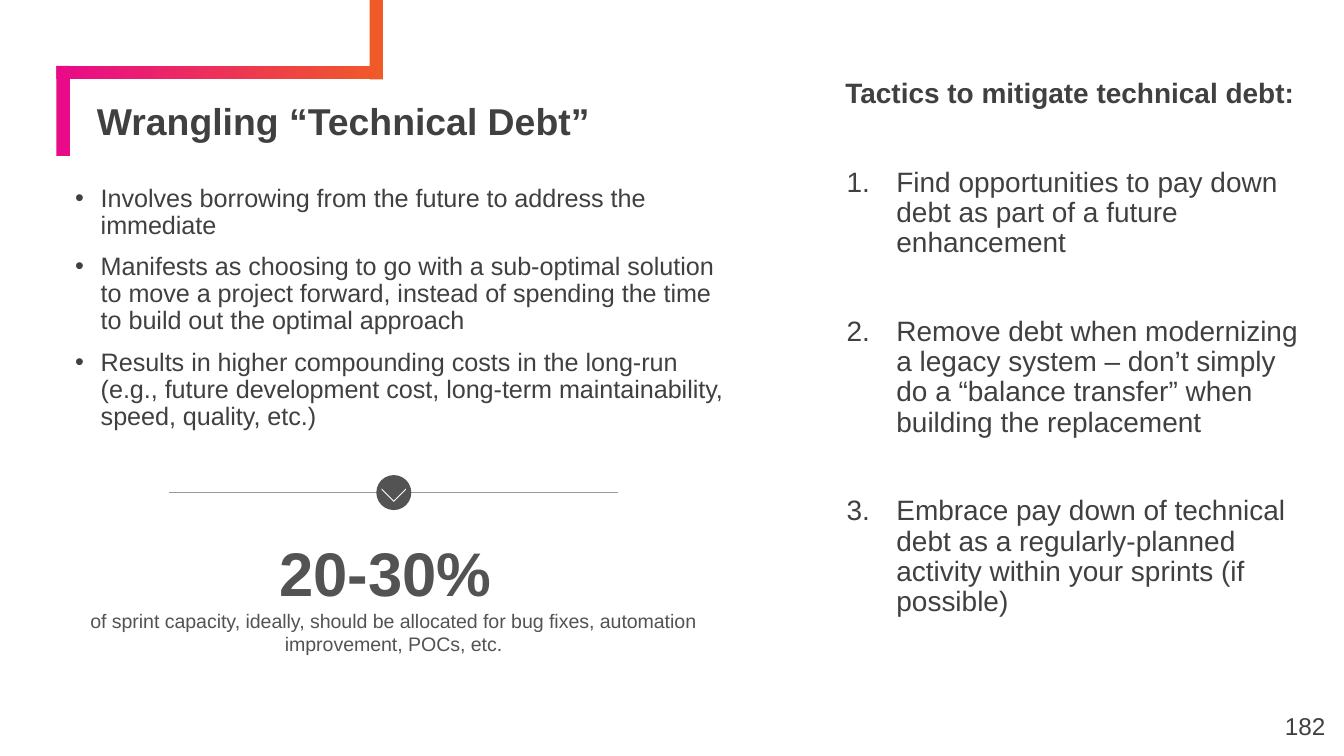
from lxml.etree import SubElement
from pptx import Presentation
from pptx.dml.color import RGBColor
from pptx.enum.shapes import MSO_CONNECTOR as CONNECTOR, MSO_SHAPE as SHAPE
from pptx.enum.text import MSO_ANCHOR as ANCHOR, MSO_AUTO_SIZE as AUTO_SIZE, PP_ALIGN as ALIGN
from pptx.oxml.ns import qn
from pptx.util import Inches, Pt

MAGENTA = RGBColor(0xE8, 0x0A, 0x89)
ORANGE = RGBColor(0xF0, 0x5A, 0x28)
INK = RGBColor(0x40, 0x40, 0x40)
GREY = RGBColor(0x53, 0x53, 0x53)
RULE_GREY = RGBColor(0x9A, 0x9A, 0x9A)
WHITE = RGBColor(0xFF, 0xFF, 0xFF)

TITLE = "Wrangling “Technical Debt”"
DEFINITION = [
    "Involves borrowing from the future to address the immediate",
    "Manifests as choosing to go with a sub-optimal solution to move a project forward, "
    "instead of spending the time to build out the optimal approach",
    "Results in higher compounding costs in the long-run (e.g., future development cost, "
    "long-term maintainability, speed, quality, etc.)",
]
TACTICS_HEADING = "Tactics to mitigate technical debt:"
TACTICS = [
    "Find opportunities to pay down debt as part of a future enhancement",
    "Remove debt when modernizing a legacy system – don’t simply do a “balance transfer” "
    "when building the replacement",
    "Embrace pay down of technical debt as a regularly-planned activity within your "
    "sprints (if possible)",
]
SHARE = "20-30% "
SHARE_NOTE = ("of sprint capacity, ideally, should be allocated for bug fixes, "
              "automation improvement, POCs, etc.")


def set_all(target, values):
    for name, value in values.items():
        setattr(target, name, value)


def set_insets(frame, x, y):
    set_all(frame, {"margin_left": Inches(x), "margin_right": Inches(x),
                    "margin_top": Inches(y), "margin_bottom": Inches(y),
                    "word_wrap": True, "auto_size": AUTO_SIZE.NONE})


def add_frame(slide, box, x_inset=0, y_inset=0):
    frame = slide.shapes.add_textbox(*map(Inches, box)).text_frame
    set_insets(frame, x_inset, y_inset)
    return frame


def format_font(font, size, color=INK, bold=False):
    set_all(font, {"name": "Arial", "size": Pt(size), "bold": bold})
    font.color.rgb = color


def write_paragraph(frame, text, size, color=INK, bold=False, first=False, **layout):
    paragraph = frame.paragraphs[0] if first else frame.add_paragraph()
    set_all(paragraph, layout)
    run = paragraph.add_run()
    run.text = text
    format_font(run.font, size, color, bold)
    return paragraph


def set_marker(paragraph, margin, indent, marker=None, **attributes):
    """Indent the paragraph and give it a bullet or a number."""
    properties = paragraph._p.get_or_add_pPr()
    properties.set("marL", str(Inches(margin)))
    properties.set("indent", str(Inches(indent)))
    if marker:
        color = SubElement(properties, qn("a:buClr"))
        SubElement(color, qn("a:srgbClr")).set("val", str(INK))
        SubElement(properties, qn("a:buFont")).set("typeface", "Arial")
        SubElement(properties, qn(marker), attributes)


def paint(shape, color):
    shape.shadow.inherit = False
    shape.fill.solid()
    shape.fill.fore_color.rgb = color
    shape.line.fill.background()


def add_corner_band(slide, left, top, width, height):
    thickness, bar_top = 0.1, top + 0.49
    bars = [
        (left, bar_top, thickness, height - 0.49, MAGENTA),
        (left + width - thickness, top, thickness, 0.59, ORANGE),
        (left, bar_top, width, thickness, ORANGE),
    ]
    for *box, color in bars:
        bar = slide.shapes.add_shape(SHAPE.RECTANGLE, *map(Inches, box))
        paint(bar, color)
    # The last bar joins the two colours
    bar.fill.gradient()
    bar.fill.gradient_angle = 0
    for stop, color in zip(bar.fill.gradient_stops, (MAGENTA, ORANGE)):
        stop.color.rgb = color


def add_title(slide, left, top, width, height):
    title = slide.shapes.title
    set_all(title, {"left": Inches(left), "top": Inches(top),
                    "width": Inches(width), "height": Inches(height)})
    frame = title.text_frame
    set_insets(frame, 0.05, 0.05)
    frame.vertical_anchor = ANCHOR.BOTTOM
    write_paragraph(frame, TITLE, 20, bold=True, first=True,
                    alignment=ALIGN.LEFT, line_spacing=0.9)


def add_definition(slide, *box):
    frame = add_frame(slide, box)
    for index, point in enumerate(DEFINITION):
        paragraph = write_paragraph(frame, point, 13.5, first=index == 0, line_spacing=0.9,
                                    space_before=Pt(7.5 if index else 0))
        set_marker(paragraph, 0.31, -0.19, "a:buChar", char="•")


def add_tactics(slide, *box):
    frame = add_frame(slide, box)
    heading = write_paragraph(frame, TACTICS_HEADING, 15, bold=True, first=True,
                              line_spacing=0.9)
    set_marker(heading, 0.09, 0)
    for tactic in TACTICS:
        paragraph = write_paragraph(frame, tactic, 15, line_spacing=0.9, space_before=Pt(31.3))
        set_marker(paragraph, 0.47, -0.37, "a:buAutoNum", type="arabicPeriod")


def add_divider(slide, left, top, width, height):
    center_x, center_y = left + width / 2, top + height / 2
    # Rule
    rule = slide.shapes.add_connector(CONNECTOR.STRAIGHT, Inches(left), Inches(center_y),
                                      Inches(left + width), Inches(center_y))
    rule.line.color.rgb = RULE_GREY
    rule.line.width = Pt(0.75)
    SubElement(rule._element.spPr, qn("a:effectLst"))
    # Disc
    disc = slide.shapes.add_shape(SHAPE.OVAL, Inches(center_x - height / 2), Inches(top),
                                  Inches(height), Inches(height))
    paint(disc, GREY)
    disc.line.color.rgb = GREY
    disc.line.width = Pt(0.75)
    # Chevron
    offsets = [(-0.09, -0.02), (-0.09, -0.03), (0, 0.06), (0.09, -0.03), (0.09, -0.02), (0, 0.07)]
    points = [(Inches(center_x + x), Inches(center_y + y)) for x, y in offsets]
    outline = slide.shapes.build_freeform(*points[0])
    outline.add_line_segments(points[1:], close=True)
    paint(outline.convert_to_shape(), WHITE)


def add_share(slide, *box):
    frame = add_frame(slide, box, 0.1, 0.05)
    write_paragraph(frame, SHARE, 33, GREY, bold=True, first=True, alignment=ALIGN.CENTER)
    write_paragraph(frame, SHARE_NOTE, 10.5, GREY, alignment=ALIGN.CENTER)


def add_page_number(slide, *box):
    frame = add_frame(slide, box, 0.1, 0.1)
    write_paragraph(frame, "182", 13, first=True, alignment=ALIGN.RIGHT)


def main():
    deck = Presentation()
    # 16:9 format
    deck.slide_width = Inches(10)
    deck.slide_height = deck.slide_width * 9 // 16
    slide = deck.slides.add_slide(deck.slide_layouts[5])
    add_corner_band(slide, 0.42, 0, 2.43, 1.16)
    add_title(slide, 0.67, 0.78, 9.03, 0.34)
    add_definition(slide, 0.44, 1.38, 4.97, 1.94)
    add_tactics(slide, 6.2, 0.59, 3.56, 4.12)
    add_divider(slide, 1.26, 3.54, 3.34, 0.25)
    add_share(slide, 0.43, 3.93, 5, 1.01)
    add_page_number(slide, 9.36, 5.19, 0.6, 0.43)
    deck.save("out.pptx")


if __name__ == "__main__":
    main()
